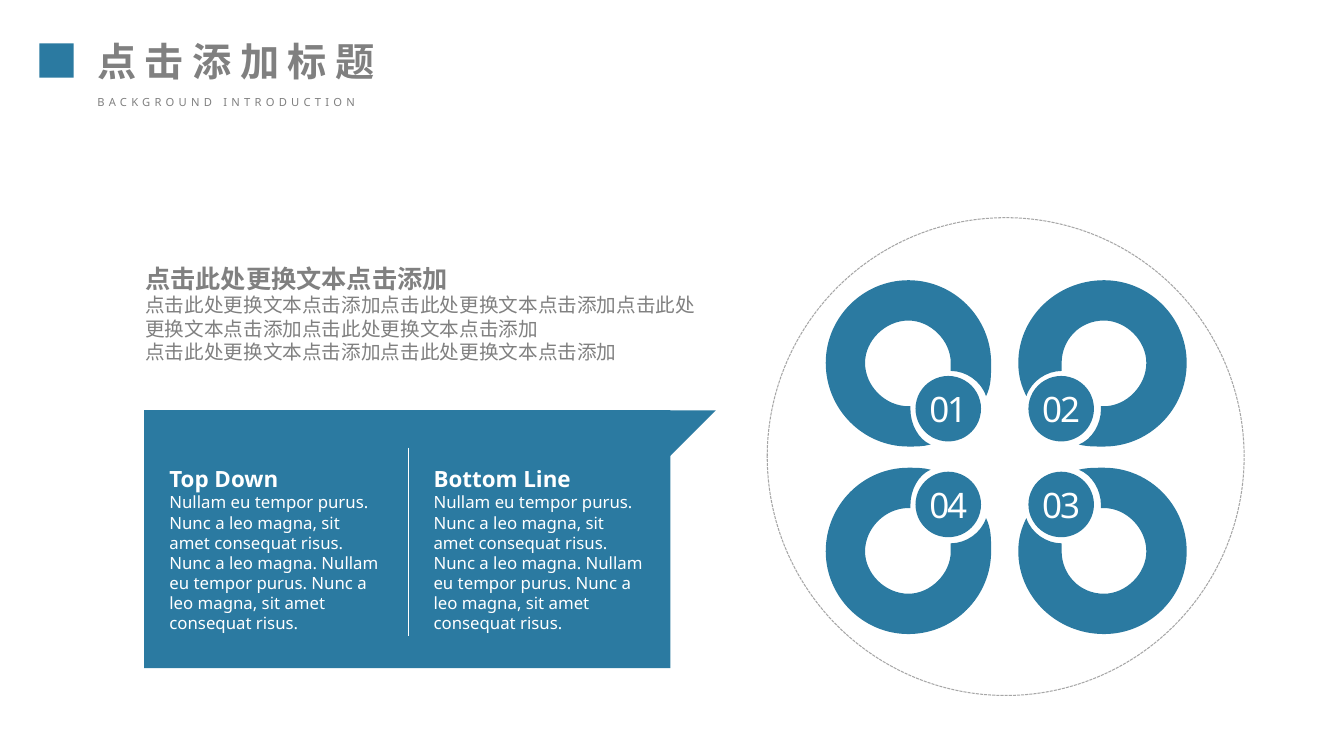
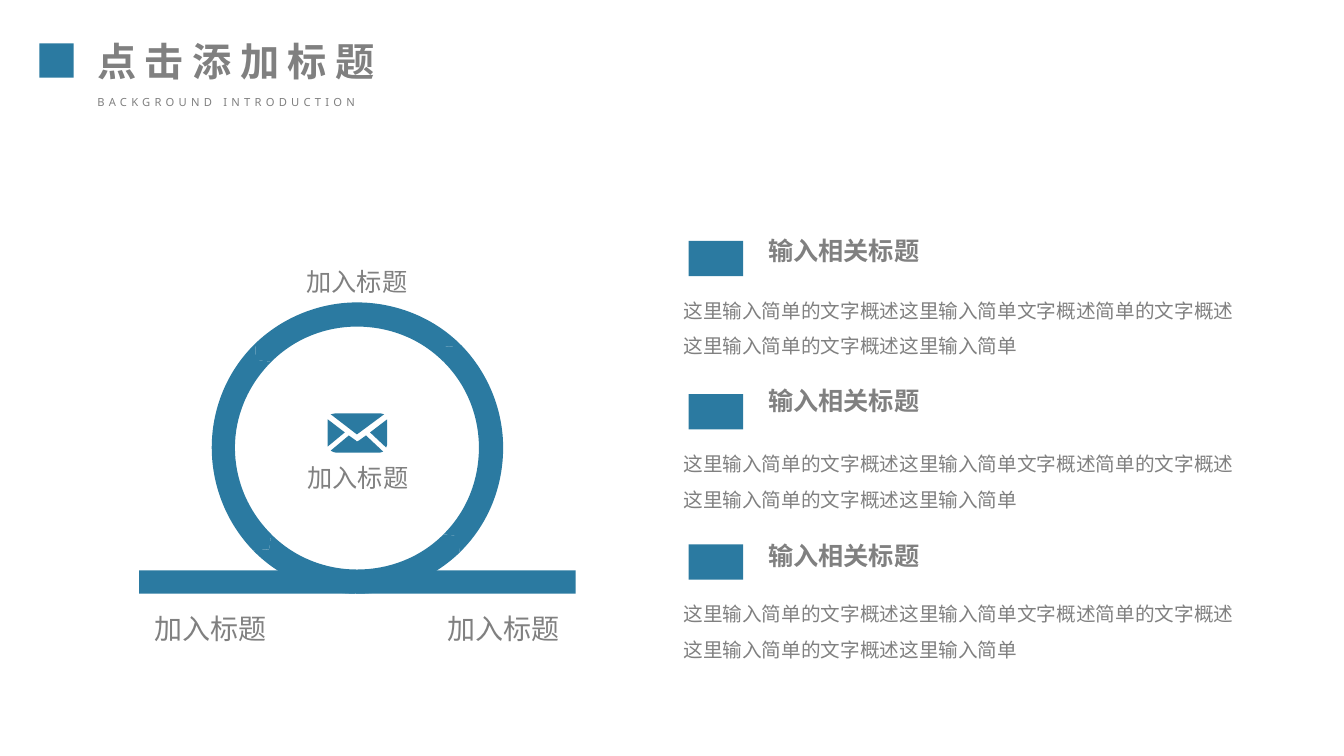
from lxml.etree import SubElement
from pptx import Presentation
from pptx.dml.color import RGBColor
from pptx.enum.dml import MSO_LINE
from pptx.enum.shapes import MSO_CONNECTOR, MSO_SHAPE as SHAPE
from pptx.enum.text import MSO_ANCHOR as ANCHOR, PP_ALIGN as ALIGN
from pptx.oxml.ns import qn
from pptx.util import Inches, Pt

COLORS = {"blue": "2B7AA1", "gray": "808080", "dash": "A6A6A6", "white": "FFFFFF"}
FONT = "Noto Sans"
DEFAULT_INSETS = (0.1, 0.05)
TIGHT_INSETS = (0.05, 0.02)

COLUMN_TEXT = ("Nullam eu tempor purus. Nunc a leo magna, sit amet consequat risus. "
               "Nunc a leo magna. Nullam eu tempor purus. Nunc a leo magna, "
               "sit amet consequat risus.")
PHRASE = "点击此处更换文本点击添加"
ITEM_TEXT = "这里输入简单的文字概述这里输入简单文字概述简单的文字概述这里输入简单的文字概述这里输入简单"
LABEL = "加入标题"

# An outline is a list of steps: (x, y) is a corner, (x1, y1, x2, y2, x, y) a curve.
LEFT_PETAL = [
    (9.01, 2.78), (9.46, 2.78, 9.83, 3.15, 9.83, 3.6), (9.83, 3.73, 9.83, 3.83, 9.78, 3.93),
    (9.73, 3.78, 9.58, 3.68, 9.43, 3.68), (9.43, 3.65, 9.43, 3.63, 9.43, 3.6),
    (9.43, 3.38, 9.23, 3.18, 9.01, 3.18), (8.78, 3.18, 8.58, 3.38, 8.58, 3.6),
    (8.58, 3.83, 8.78, 4.03, 9.01, 4.03), (9.03, 4.03, 9.03, 4.03, 9.03, 4.03),
    (9.03, 4.03, 9.03, 4.06, 9.03, 4.06), (9.03, 4.21, 9.11, 4.36, 9.23, 4.41),
    (9.16, 4.43, 9.08, 4.43, 9.01, 4.43), (8.56, 4.43, 8.19, 4.06, 8.19, 3.6),
    (8.19, 3.15, 8.56, 2.78, 9.01, 2.78),
]
RIGHT_PETAL = [
    (10.95, 2.78), (10.48, 2.78, 10.1, 3.15, 10.1, 3.6),
    (10.1, 3.73, 10.13, 3.83, 10.18, 3.93), (10.23, 3.78, 10.38, 3.68, 10.53, 3.68),
    (10.53, 3.65, 10.53, 3.63, 10.53, 3.6), (10.53, 3.38, 10.7, 3.18, 10.95, 3.18),
    (11.17, 3.18, 11.37, 3.38, 11.37, 3.6), (11.37, 3.83, 11.17, 4.03, 10.95, 4.03),
    (10.92, 4.03, 10.92, 4.03, 10.92, 4.03), (10.92, 4.03, 10.92, 4.06, 10.92, 4.06),
    (10.92, 4.21, 10.83, 4.36, 10.7, 4.41), (10.78, 4.43, 10.85, 4.43, 10.95, 4.43),
    (11.4, 4.43, 11.77, 4.06, 11.77, 3.6), (11.77, 3.15, 11.4, 2.78, 10.95, 2.78),
]
MIRROR_SUM = 9.07

RING_ARCS = [
    [(2.69, 5.3), (2.67, 5.45), (2.51, 5.46), (2.51, 5.46, 2.52, 5.47, 2.52, 5.47),
     (2.8, 5.75, 3.17, 5.89, 3.54, 5.89), (3.54, 5.65), (3.24, 5.65, 2.93, 5.54, 2.69, 5.3)],
    [(3.54, 3), (3.18, 3, 2.81, 3.14, 2.53, 3.41), (2.54, 3.57), (2.69, 3.59),
     (2.93, 3.35, 3.24, 3.24, 3.54, 3.24), (3.85, 3.24, 4.16, 3.35, 4.4, 3.59),
     (4.42, 3.44), (4.58, 3.43), (4.57, 3.43, 4.57, 3.42, 4.57, 3.42),
     (4.29, 3.14, 3.91, 3, 3.54, 3)],
    [(2.1, 4.44), (2.1, 4.81, 2.24, 5.18, 2.51, 5.46), (2.67, 5.45), (2.69, 5.3),
     (2.45, 5.06, 2.33, 4.75, 2.33, 4.44), (2.33, 4.14, 2.45, 3.83, 2.69, 3.59),
     (2.54, 3.57), (2.53, 3.41), (2.53, 3.41, 2.52, 3.42, 2.52, 3.42),
     (2.24, 3.7, 2.1, 4.07, 2.1, 4.44)],
    [(4.99, 4.44), (4.99, 4.08, 4.85, 3.71, 4.58, 3.43), (4.41, 3.44), (4.4, 3.59),
     (4.64, 3.83, 4.75, 4.14, 4.75, 4.44), (4.75, 4.75, 4.64, 5.06, 4.4, 5.3),
     (4.54, 5.32), (4.56, 5.48), (4.56, 5.48, 4.56, 5.47, 4.57, 5.47),
     (4.85, 5.19, 4.99, 4.82, 4.99, 4.44)],
    [(4.4, 5.3), (4.16, 5.54, 3.85, 5.65, 3.54, 5.65), (3.54, 5.89),
     (3.91, 5.89, 4.28, 5.75, 4.56, 5.48), (4.55, 5.32), (4.4, 5.3)],
]
ENVELOPE = [
    [(3.33, 4.1), (3.77, 4.1), (3.78, 4.1, 3.8, 4.11, 3.81, 4.11), (3.54, 4.31),
     (3.28, 4.11), (3.3, 4.11, 3.31, 4.1, 3.33, 4.1)],
    [(3.84, 4.16), (3.67, 4.29), (3.83, 4.44), (3.84, 4.43, 3.84, 4.42, 3.84, 4.41),
     (3.84, 4.18)],
    [(3.8, 4.48), (3.78, 4.48, 3.78, 4.49, 3.77, 4.49), (3.33, 4.49),
     (3.31, 4.49, 3.3, 4.48, 3.28, 4.47), (3.46, 4.32), (3.53, 4.37), (3.54, 4.38),
     (3.56, 4.37), (3.63, 4.32)],
    [(3.25, 4.43), (3.42, 4.29), (3.25, 4.16), (3.25, 4.41)],
]


def rgb(name):
    return RGBColor.from_string(COLORS[name])


def style_shape(s, fill="blue"):
    s.shadow.inherit = False
    s.line.fill.background()
    if fill:
        s.fill.solid()
        s.fill.fore_color.rgb = rgb(fill)
    else:
        s.fill.background()
    return s


def add_shape(slide, kind, box, fill="blue"):
    return style_shape(slide.shapes.add_shape(kind, *map(Inches, box)), fill)


def step_points(step):
    return [(Inches(x), Inches(y)) for x, y in zip(step[::2], step[1::2])]


def add_outline(slide, *outlines):
    """Draw closed outlines as one freeform, then turn its curve steps into Béziers."""
    builder = slide.shapes.build_freeform(*step_points(outlines[0][0])[0])
    for i, (start, *steps) in enumerate(outlines):
        if i:
            builder.move_to(*step_points(start)[0])
        builder.add_line_segments([q for step in steps for q in step_points(step)])
    s = style_shape(builder.convert_to_shape())
    lines = iter(list(s._element.iter(qn("a:lnTo"))))
    for _, *steps in outlines:
        for step in steps:
            first, *others = [next(lines) for _ in range(len(step) // 2)]
            if others:
                first.tag = qn("a:cubicBezTo")
            for line in others:
                first.append(line[0])
                line.getparent().remove(line)
    return s


def write_paragraph(p, text, size, color="gray", bold=False, align=ALIGN.LEFT,
                    line=None, tracking=None):
    r = p.add_run()
    r.text = text
    p.alignment = align
    if line:
        p.line_spacing = line
    font = p.font
    font.name, font.size, font.bold = FONT, Pt(size), bold
    font.color.rgb = rgb(color)
    SubElement(p._p.pPr.find(qn("a:defRPr")), qn("a:ea"), typeface=FONT)
    if tracking:
        r._r.get_or_add_rPr().set("spc", str(int(tracking * 100)))


def set_frame(tf, insets, anchor, wrap=True):
    tf.word_wrap = wrap
    tf.vertical_anchor = anchor
    tf.margin_left = tf.margin_right = Inches(insets[0])
    tf.margin_top = tf.margin_bottom = Inches(insets[1])


def add_text(slide, box, *paragraphs, insets=DEFAULT_INSETS, anchor=ANCHOR.TOP):
    """Add a text box; each paragraph is a dict for write_paragraph."""
    tf = slide.shapes.add_textbox(*map(Inches, box)).text_frame
    set_frame(tf, insets, anchor)
    for i, options in enumerate(paragraphs):
        write_paragraph(tf.add_paragraph() if i else tf.paragraphs[0], **options)


def add_header(slide):
    add_text(slide, (0.69, 0.32, 3.3, 0.57),
             dict(text="点击添加标题", size=28, bold=True, align=ALIGN.CENTER, tracking=6))
    add_text(slide, (0.66, 0.9, 3.17, 0.24),
             dict(text="BACKGROUND INTRODUCTION", size=8, align=ALIGN.CENTER, tracking=3))
    add_shape(slide, SHAPE.RECTANGLE, (0.39, 0.43, 0.34, 0.34))


def add_banner(slide):
    add_shape(slide, SHAPE.RECTANGLE, (1.43, 4.07, 5.22, 2.56))
    add_shape(slide, SHAPE.RIGHT_TRIANGLE, (6.21, 4.07, 0.89, 0.89)).rotation = 90
    for left, heading in ((1.63, "Top Down"), (4.25, "Bottom Line")):
        add_text(slide, (left, 4.33, 2.19, 2),
                 dict(text=heading, size=16, color="white", bold=True, line=2.0),
                 dict(text=COLUMN_TEXT, size=12, color="white"), insets=TIGHT_INSETS)
    divider = slide.shapes.add_connector(
        MSO_CONNECTOR.STRAIGHT, *map(Inches, (4.05, 4.44, 4.05, 6.31)))
    divider.line.color.rgb = rgb("white")
    divider.line.width = Pt(0.5)
    SubElement(divider._element.spPr, qn("a:effectLst"))


def flip_down(outline):
    return [tuple(MIRROR_SUM - v if i % 2 else v for i, v in enumerate(step))
            for step in outline]


def add_number(slide, text, left, top):
    s = add_shape(slide, SHAPE.OVAL, (left, top, 0.65, 0.65))
    set_frame(s.text_frame, (0, 0), ANCHOR.MIDDLE, wrap=False)
    write_paragraph(s.text_frame.paragraphs[0], text, 25, "white",
                    align=ALIGN.CENTER, tracking=-1.5)


def add_flower(slide):
    ring = add_shape(slide, SHAPE.OVAL, (7.61, 2.16, 4.73, 4.74), fill=None)
    ring.line.color.rgb = rgb("dash")
    ring.line.width = Pt(0.75)
    ring.line.dash_style = MSO_LINE.SQUARE_DOT
    for petal in (LEFT_PETAL, RIGHT_PETAL):
        add_outline(slide, petal)
        add_outline(slide, flip_down(petal))
    for text, column, row in (("01", 0, 0), ("02", 1, 0), ("03", 1, 1), ("04", 0, 1)):
        add_number(slide, text, 9.08 + 1.12 * column, 3.73 + 0.95 * row)


def add_loop(slide):
    """Draw the ring standing on a bar, with its envelope and labels."""
    for left, width in ((1.38, 2.14), (3.53, 2.18)):
        add_shape(slide, SHAPE.RECTANGLE, (left, 5.66, width, 0.23))
    for arc in RING_ARCS:
        add_outline(slide, arc)
    add_outline(slide, *ENVELOPE)
    for box, size in (((1.38, 6.08, 1.42, 0.28), 20), ((4.07, 6.03, 1.85, 0.37), 20),
                      ((2.83, 2.64, 1.42, 0.28), 18), ((2.84, 4.58, 1.42, 0.28), 18)):
        add_text(slide, box, dict(text=LABEL, size=size, align=ALIGN.CENTER, line=1.1),
                 insets=(0, 0), anchor=ANCHOR.MIDDLE)


def add_item(slide, top, heading_top):
    add_shape(slide, SHAPE.RECTANGLE, (6.83, top, 0.54, 0.35))
    add_text(slide, (6.68, top + 0.41, 5.73, 0.77), dict(text=ITEM_TEXT, size=14, line=1.5))
    add_text(slide, (7.52, heading_top, 3.04, 0.4),
             dict(text="输入相关标题", size=18, bold=True))


def build_petal_slide(slide):
    add_header(slide)
    add_banner(slide)
    add_text(slide, (1.39, 2.59, 5.71, 1.36), dict(text=PHRASE, size=18, bold=True),
             dict(text=PHRASE * 4, size=14), dict(text=PHRASE * 2, size=14),
             insets=TIGHT_INSETS)
    add_flower(slide)


def build_loop_slide(slide):
    add_header(slide)
    for top, heading_top in ((2.39, 2.29), (3.91, 3.77), (5.4, 5.31)):
        add_item(slide, top, heading_top)
    add_loop(slide)


def main():
    prs = Presentation()
    prs.slide_width, prs.slide_height = Inches(13.33), Inches(7.5)
    for build in (build_petal_slide, build_loop_slide):
        build(prs.slides.add_slide(prs.slide_layouts[6]))
    prs.save("out.pptx")


if __name__ == "__main__":
    main()
